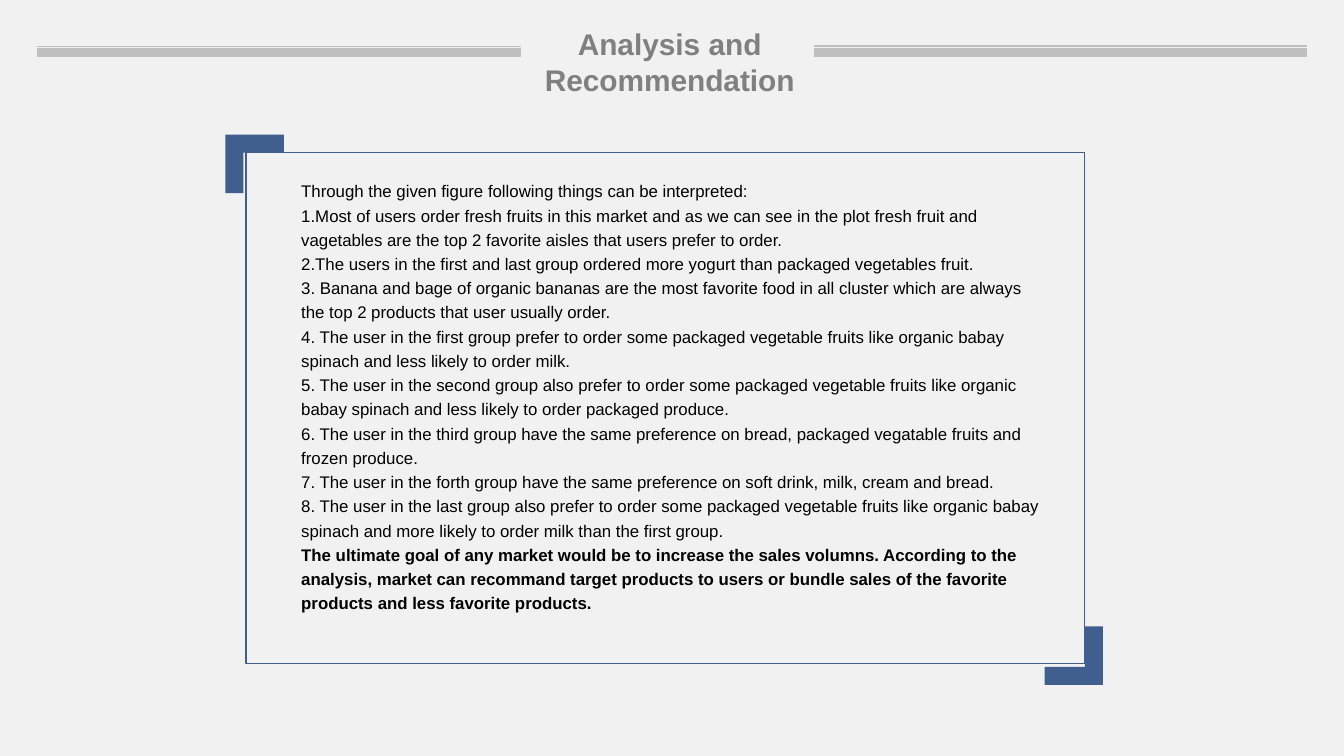
from lxml import etree
from pptx import Presentation, util as u
from pptx.dml.color import RGBColor
from pptx.enum import shapes, text
from pptx.oxml.ns import qn

Pt = u.Pt
BLUE, GREY, PALE, INK, BACK = "405F8F", "808080", "BFBFBF", "000000", "F1F1F1"
W, H = 720, 405

TITLE = "Analysis and Recommendation"
FINDINGS = [
    "Through the given figure following things can be interpreted:",
    "1.Most of users order fresh fruits in this market and as we can see in the plot "
    "fresh fruit and vagetables are the top 2 favorite aisles that users prefer to order.",
    "2.The users in the first and last group ordered more yogurt than packaged vegetables fruit.",
    "3. Banana and bage of organic bananas are the most favorite food in all cluster "
    "which are always the top 2 products that user usually order.",
    "4. The user in the first group prefer to order some packaged vegetable fruits "
    "like organic babay spinach and less likely to order milk.",
    "5. The user in the second group also prefer to order some packaged vegetable fruits "
    "like organic babay spinach and less likely to order packaged produce.",
    "6. The user in the third group have the same preference on bread, "
    "packaged vegatable fruits and frozen produce.",
    "7. The user in the forth group have the same preference on soft drink, milk, cream and bread.",
    "8. The user in the last group also prefer to order some packaged vegetable fruits "
    "like organic babay spinach and more likely to order milk than the first group.",
]
GOAL = ("The ultimate goal of any market would be to increase the sales volumns. "
        "According to the analysis, market can recommand target products to users or "
        "bundle sales of the favorite products and less favorite products.")


def colour(value):
    return RGBColor.from_string(value)


def paint(sp, fill=None, line=None):
    sp.shadow.inherit = False
    for part, value in ((sp.fill, fill), (sp.line.fill, line)):
        if value:
            part.solid()
            part.fore_color.rgb = colour(value)
        else:
            part.background()


def add_text(s, box, paragraphs, size, ink, spacing, align):
    """Each paragraph is a pair of text and bold."""
    tf = s.shapes.add_textbox(*map(Pt, box)).text_frame
    frame = dict(word_wrap=True, margin_left=Pt(5.4), margin_right=Pt(5.4),
                 margin_top=Pt(2.7), margin_bottom=Pt(2.7))
    for name, value in frame.items():
        setattr(tf, name, value)
    for i, (words, bold) in enumerate(paragraphs):
        p = tf.add_paragraph() if i else tf.paragraphs[0]
        p.alignment, p.line_spacing = align, Pt(spacing)
        r = p.add_run()
        r.text = words
        for name, value in dict(name="Arial", size=Pt(size), bold=bold).items():
            setattr(r.font, name, value)
        r.font.color.rgb = colour(ink)


def add_rule(s, x1, x2, y, width):
    line = s.shapes.add_connector(shapes.MSO_CONNECTOR.STRAIGHT, Pt(x1), Pt(y), Pt(x2), Pt(y))
    line.line.color.rgb = colour(PALE)
    line.line.width = Pt(width)
    etree.SubElement(line._element.spPr, qn("a:effectLst"))


def add_corner(s, x, y, way):
    """L-shaped bracket with its outer corner at x, y; way is 1 or -1."""
    arm, thick = 31.3 * way, 9.6 * way
    steps = [(arm, 0), (arm, thick), (thick, thick), (thick, arm), (0, arm)]
    builder = s.shapes.build_freeform(Pt(x), Pt(y))
    builder.add_line_segments([(Pt(x + dx), Pt(y + dy)) for dx, dy in steps], close=True)
    paint(builder.convert_to_shape(), fill=BLUE)


def add_header(s, x, y, w, h):
    # Title between two pairs of thin and thick rules
    title_w = 154.8
    title_x = x + 261.4
    add_text(s, (title_x, y, title_w, h), [(TITLE, True)], 16, GREY, 19.3,
             text.PP_ALIGN.CENTER)
    for x1, x2, thin_y in ((x, title_x - 2.2, y + 14.2),
                           (title_x + title_w, x + w, y + 13.9)):
        add_rule(s, x1, x2, thin_y, 0.75)
        add_rule(s, x1, x2, y + 17.4, 4.5)


def add_findings(s, x, y, w, h):
    # Corner brackets just outside the frame
    add_corner(s, x - 11, y - 9.6, 1)
    add_corner(s, x + w + 9.8, y + h + 11.5, -1)
    # Frame
    frame = s.shapes.add_shape(shapes.MSO_SHAPE.RECTANGLE, *map(Pt, (x, y, w, h)))
    paint(frame, line=BLUE)
    frame.line.width = Pt(0.75)
    # Findings and closing goal
    paragraphs = [(words, False) for words in FINDINGS] + [(GOAL, True)]
    add_text(s, (x + 24.2, y + 10.3, w - 41, h - 20.6), paragraphs, 9, INK, 12.98,
             text.PP_ALIGN.LEFT)


def main():
    prs = Presentation()
    prs.slide_width, prs.slide_height = Pt(W), Pt(H)
    s = prs.slides.add_slide(prs.slide_layouts[6])
    s.background.fill.solid()
    s.background.fill.fore_color.rgb = colour(BACK)
    add_header(s, 20, 10.8, 680, 43.9)
    add_findings(s, 131.8, 81.8, 449.3, 273.6)
    prs.save("out.pptx")


if __name__ == "__main__":
    main()
